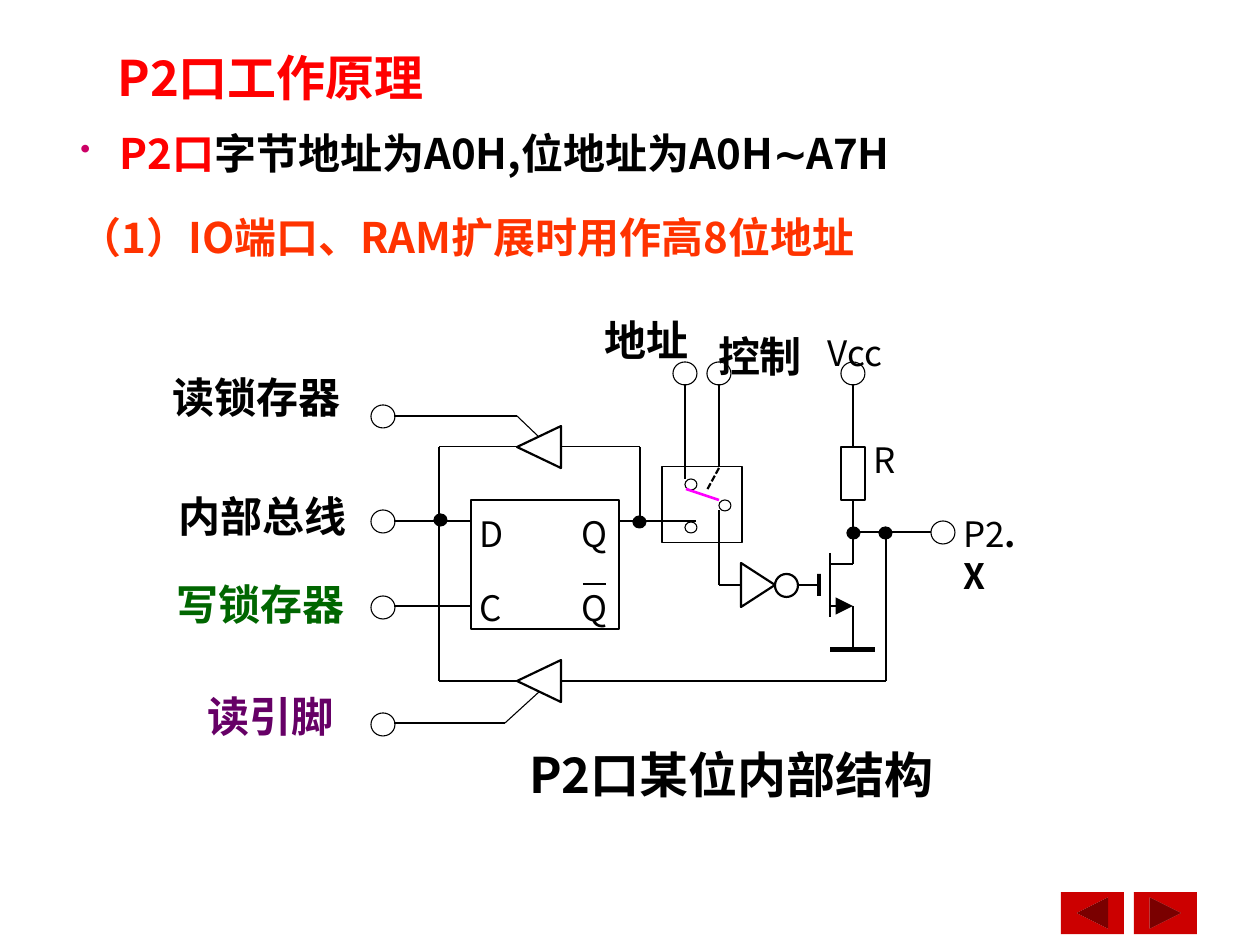
"""Build the slide on the working principle and bit structure of port P2."""
from dataclasses import dataclass

from lxml import etree
from pptx import Presentation
from pptx import util as u
from pptx.dml.color import RGBColor
from pptx.enum import dml, shapes, text
from pptx.oxml import ns

EMU_PER_PX = 914400 / 126


@dataclass(frozen=True)
class Theme:
    font: str = "Noto Sans CJK SC"
    symbol_font: str = "Arial"
    black: str = "000000"
    red: str = "FF0000"
    orange: str = "FF3300"
    green: str = "006600"
    purple: str = "660066"
    magenta: str = "FF00FF"
    bullet: str = "CC0066"
    button: str = "CC0000"
    heading: int = 28
    body: int = 24
    pin: int = 20
    thin: float = 0.62
    medium: float = 1.25
    thick: float = 1.5


THEME = Theme()
Point = tuple[int, int]


@dataclass(frozen=True)
class Label:
    words: str
    left: int
    top: int
    width: int
    height: int
    size: int = THEME.body
    color: str = THEME.black
    bold: bool = True
    padded: bool = False
    wrap: bool = False
    centred: bool = False


@dataclass(frozen=True)
class Part:
    left: int
    top: int
    width: int
    height: int
    fill: str | None = None
    outline: float | None = THEME.thin
    kind: shapes.MSO_SHAPE = shapes.MSO_SHAPE.RECTANGLE


def px(length: float) -> int:
    return round(length * EMU_PER_PX)


def rgb(color: str) -> RGBColor:
    return RGBColor.from_string(color)


def style_run(run, size: int, color: str, bold: bool, font: str = THEME.font) -> None:
    run.font.size = u.Pt(size)
    run.font.bold = bold
    run.font.color.rgb = rgb(color)
    run.font.name = font
    east_asian = etree.SubElement(run.font._element, ns.qn("a:ea"))
    east_asian.set("typeface", font)


def draw_label(slide, label: Label):
    box = slide.shapes.add_textbox(px(label.left), px(label.top), px(label.width), px(label.height))
    frame = box.text_frame
    frame.word_wrap = label.wrap
    if not label.wrap:
        frame.auto_size = text.MSO_AUTO_SIZE.SHAPE_TO_FIT_TEXT
    if not label.padded:
        frame.margin_left = frame.margin_right = frame.margin_top = frame.margin_bottom = 0
    frame.text = label.words
    paragraph = frame.paragraphs[0]
    if label.centred:
        frame.vertical_anchor = text.MSO_ANCHOR.MIDDLE
        paragraph.alignment = text.PP_ALIGN.CENTER
    style_run(paragraph.runs[0], label.size, label.color, label.bold)
    return paragraph


def add_bullet(paragraph) -> None:
    properties = paragraph._p.get_or_add_pPr()
    properties.set("marL", str(px(39)))
    properties.set("indent", str(-px(39)))
    color = etree.SubElement(properties, ns.qn("a:buClr"))
    etree.SubElement(color, ns.qn("a:srgbClr")).set("val", THEME.bullet)
    etree.SubElement(properties, ns.qn("a:buSzPct")).set("val", "70000")
    etree.SubElement(properties, ns.qn("a:buChar")).set("char", "•")


def style_outline(shape, fill: str | None, outline: float | None) -> None:
    shape.shadow.inherit = False
    if fill:
        shape.fill.solid()
        shape.fill.fore_color.rgb = rgb(fill)
    else:
        shape.fill.background()
    if outline:
        shape.line.width = u.Pt(outline)
        shape.line.color.rgb = rgb(THEME.black)
    else:
        shape.line.fill.background()


def draw_part(slide, part: Part):
    shape = slide.shapes.add_shape(part.kind, px(part.left), px(part.top), px(part.width), px(part.height))
    style_outline(shape, part.fill, part.outline)
    return shape


def draw_circle(slide, centre: Point, width: int, height: int,
                fill: str | None = None, outline: float = THEME.thin) -> None:
    left, top = centre[0] - width // 2, centre[1] - height // 2
    draw_part(slide, Part(left, top, width, height, fill, outline, shapes.MSO_SHAPE.OVAL))


def draw_triangle(slide, corners: list[Point]) -> None:
    builder = slide.shapes.build_freeform(*corners[0], scale=EMU_PER_PX)
    builder.add_line_segments(corners[1:], close=True)
    style_outline(builder.convert_to_shape(), None, THEME.medium)


def draw_line(slide, start: Point, end: Point, width: float = THEME.thin, color: str = THEME.black):
    line = slide.shapes.add_connector(shapes.MSO_CONNECTOR.STRAIGHT, *map(px, start + end))
    line.line.width = u.Pt(width)
    line.line.color.rgb = rgb(color)
    etree.SubElement(line._element.spPr, ns.qn("a:effectLst"))
    return line


def draw_circuit(slide) -> None:
    wires = [
        [(640, 521), (640, 447), (562, 447)],
        [(517, 447), (439, 447), (439, 681), (517, 681)],
        [(562, 681), (886, 681), (886, 532)],
        [(394, 521), (471, 521)], [(394, 606), (471, 606)], [(619, 521), (696, 521)],
        [(394, 416), (517, 416), (539, 437)], [(394, 723), (505, 723), (539, 692)],
        [(685, 384), (685, 479)], [(719, 384), (719, 467)],
        [(719, 510), (719, 585), (741, 585)], [(797, 585), (819, 585)],
        [(853, 606), (853, 649)], [(853, 532), (931, 532)], [(583, 584), (606, 584)],
    ]
    for wire in wires:
        for start, end in zip(wire, wire[1:]):
            draw_line(slide, start, end)

    for latch_or_switch in (Part(471, 500, 148, 129, outline=THEME.medium), Part(662, 467, 80, 76)):
        draw_part(slide, latch_or_switch)
    for gate_or_ground in (Part(817, 574, 4, 22), Part(830, 647, 45, 5)):
        bar = draw_part(slide, gate_or_ground)
        style_outline(bar, THEME.black, None)

    resistor = draw_part(slide, Part(841, 447, 24, 53, outline=THEME.medium))
    for start, end, side in (((853, 384), (853, 447), 0), ((853, 564), (853, 500), 2)):
        draw_line(slide, start, end, THEME.thick).end_connect(resistor, side)
    draw_line(slide, (830, 553), (830, 617), THEME.thick)
    draw_line(slide, (830, 564), (853, 564), THEME.thick)
    source = draw_line(slide, (830, 606), (853, 606), THEME.thick)
    arrow = etree.SubElement(source.line._get_or_add_ln(), ns.qn("a:tailEnd"))
    for key, value in (("type", "triangle"), ("w", "lg"), ("len", "lg")):
        arrow.set(key, value)

    for axis in (447, 681):
        draw_triangle(slide, [(517, axis), (561, axis - 21), (561, axis + 21)])
    draw_triangle(slide, [(741, 563), (775, 585), (741, 607)])
    draw_circle(slide, (786, 585), 23, 23, outline=THEME.medium)

    terminals = [(383, y) for y in (416, 521, 607, 724)]
    terminals += [(x, 373) for x in (685, 719, 853)] + [(943, 532)]
    for centre in terminals:
        draw_circle(slide, centre, 24, 23)
    for junction in ((440, 520), (639, 522), (853, 533), (885, 533)):
        draw_circle(slide, junction, 13, 12, THEME.black)
    for contact in ((691, 484), (691, 527), (725, 505)):
        draw_circle(slide, contact, 12, 11)

    draw_line(slide, (686, 489), (719, 500), THEME.thick, THEME.magenta)
    idle_arm = draw_line(slide, (719, 468), (707, 490), THEME.medium)
    idle_arm.line.dash_style = dml.MSO_LINE.SQUARE_DOT


def main() -> None:
    deck = Presentation()
    deck.slide_width, deck.slide_height = px(1260), px(945)
    slide = deck.slides.add_slide(deck.slide_layouts[6])

    buttons = (shapes.MSO_SHAPE.ACTION_BUTTON_BACK_OR_PREVIOUS,
               shapes.MSO_SHAPE.ACTION_BUTTON_FORWARD_OR_NEXT)
    for left, kind in zip((1061, 1134), buttons):
        draw_part(slide, Part(left, 892, 63, 42, THEME.button, None, kind))

    draw_label(slide, Label("P2口工作原理", 21, 0, 499, 154, THEME.heading, THEME.red,
                            padded=True, wrap=True, centred=True))
    address = draw_label(slide, Label("P2口", 68, 121, 1139, 76, color=THEME.red, padded=True, wrap=True))
    add_bullet(address)
    for words, font in (("字节地址为A0H,位地址为A0H", THEME.font), ("∼", THEME.symbol_font), ("A7H", THEME.font)):
        run = address.add_run()
        run.text = words
        style_run(run, THEME.body, THEME.black, True, font)
    draw_label(slide, Label("（1）IO端口、RAM扩展时用作高8位地址", 67, 205, 1017, 63,
                            color=THEME.orange, padded=True, wrap=True))

    draw_circuit(slide)

    for words, left, top in (("D", 480, 512), ("Q", 582, 512), ("C", 480, 586), ("Q", 582, 586), ("R", 873, 438)):
        draw_label(slide, Label(words, left, top, 22, 42, THEME.pin, bold=False))
    draw_label(slide, Label("Vcc", 828, 331, 60, 42, THEME.pin, bold=False))
    port = draw_label(slide, Label("P2", 963, 512, 72, 42, THEME.pin, bold=False))
    bit = port.add_run()
    bit.text = ".X"
    style_run(bit, THEME.pin, THEME.black, True)

    for words, left, top in (("地址", 605, 315), ("控制", 718, 331)):
        draw_label(slide, Label(words, left, top, 84, 50))
    signals = (("读锁存器", 160, 365, THEME.black), ("内部总线", 166, 484, THEME.black),
               ("写锁存器", 164, 572, THEME.green), ("读引脚", 195, 684, THEME.purple))
    for words, left, top, color in signals:
        draw_label(slide, Label(words, left, top, 193, 63, color=color, padded=True))
    draw_label(slide, Label("P2口某位内部结构", 517, 738, 430, 72, THEME.heading, padded=True, wrap=True))

    deck.save("out.pptx")


if __name__ == "__main__":
    main()
